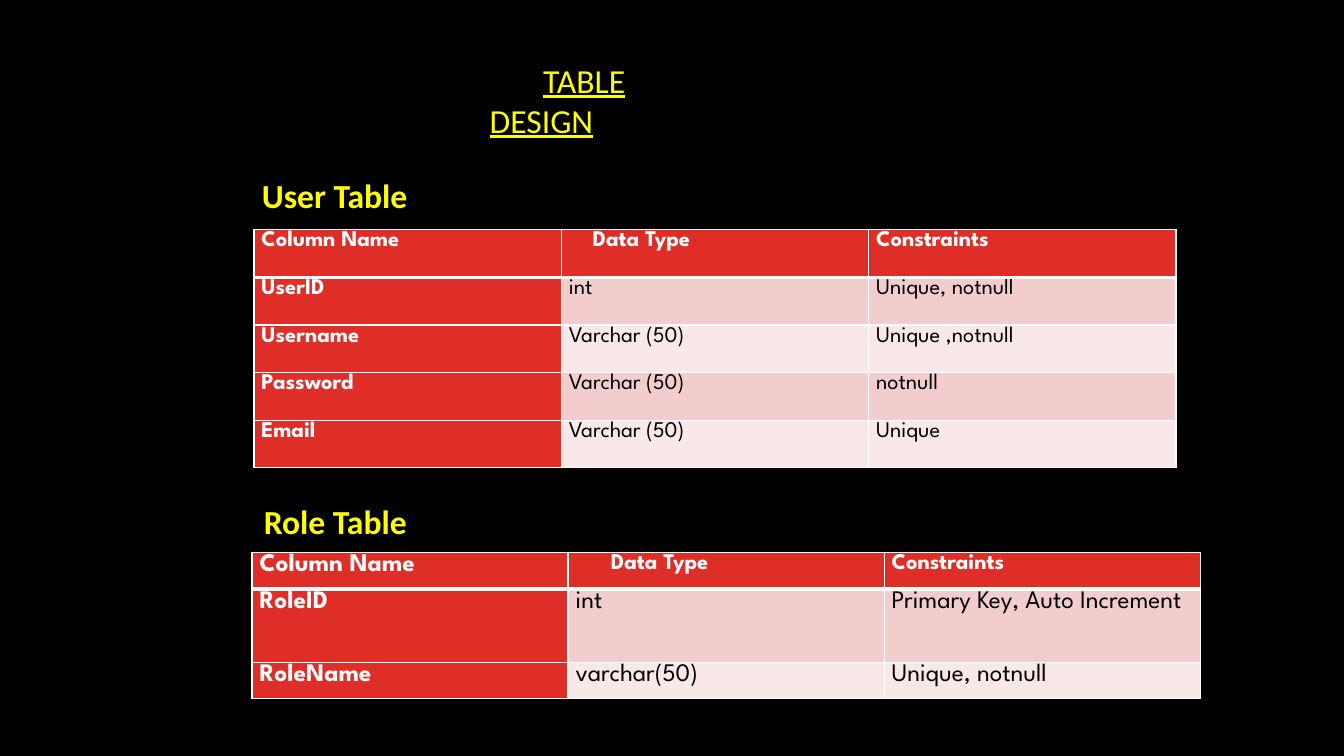
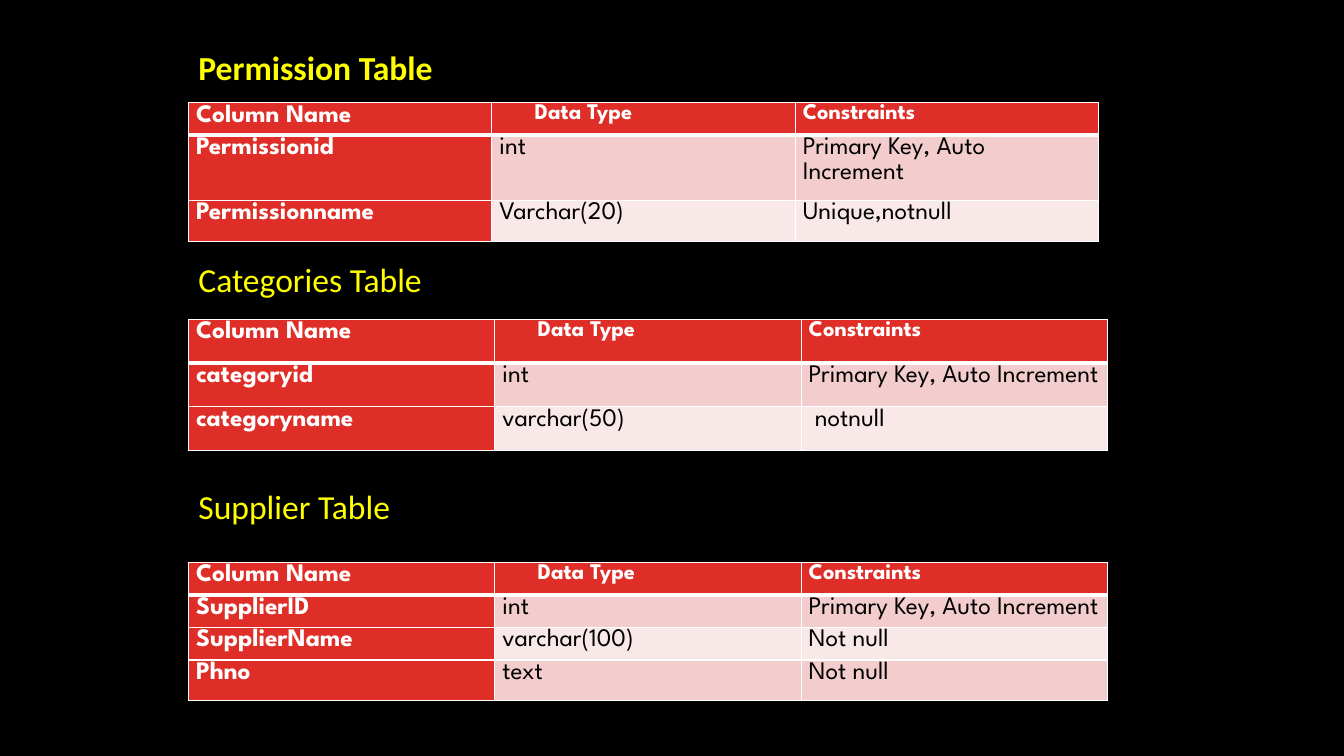
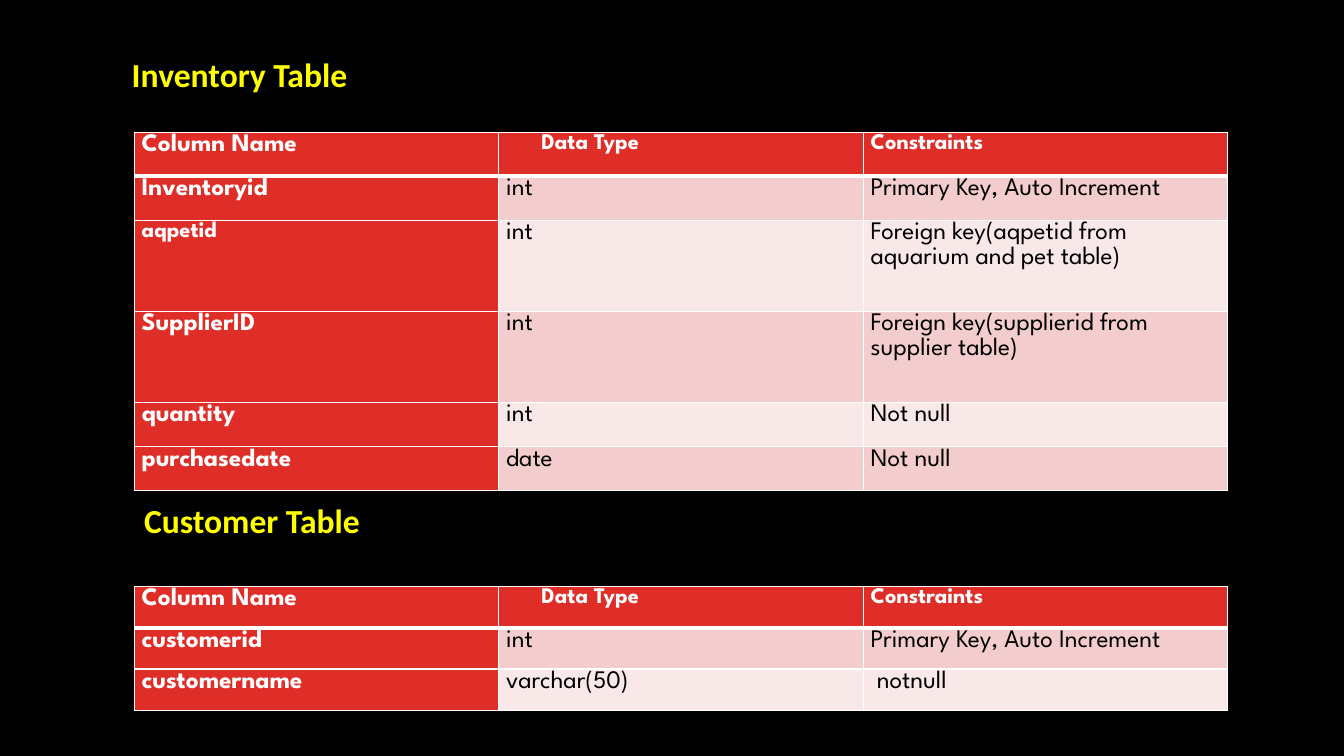
"""Build three slides that describe the tables of a shop database."""
from lxml import etree
from pptx import Presentation, util as u
from pptx.dml.color import RGBColor
from pptx.enum import text as t
from pptx.oxml.ns import qn

BLACK, WHITE, YELLOW, RED = "000000", "FFFFFF", "FFFF00", "DF2E28"
BANDS = ("F3CDCD", "F9E8E8")
HEADER = ("Column Name", "Data Type", "Constraints")
KEY = "Primary Key, Auto Increment"
HEADING_FONT, TABLE_FONT = "Calibri", "League Spartan"
CELL_INSET = 0.19

SLIDES = [
    {
        "headings": [
            {"text": "TABLE DESIGN", "at": (12.09, 0.81, 5.89, 3.07),
             "bold": False, "underline": True, "indent": 1.35, "inset_top": 0.69},
            {"text": "User Table", "at": (6.35, 4.27, 4.22, 2.06)},
            {"text": "Role Table", "at": (6.4, 12.5, 4.14, 2.31)},
        ],
        "tables": [
            {"at": (6.4, 5.79, 23.24), "heights": [1.2] * 5, "size": 16, "type_indent": 0.6,
             "rows": [("UserID", "int", "Unique, notnull"),
                      ("Username", "Varchar (50)", "Unique ,notnull"),
                      ("Password", "Varchar (50)", "notnull"),
                      ("Email", "Varchar (50)", "Unique")]},
            {"at": (6.35, 13.92, 23.9), "heights": [0.92, 1.85, 0.92],
             "rows": [("RoleID", "int", KEY),
                      ("RoleName", "varchar(50)", "Unique, notnull")]},
        ],
    },
    {
        "headings": [
            {"text": "Permission Table", "at": (4.75, 1.04, 6.96, 1.27)},
            {"text": "Categories Table", "at": (4.75, 6.4, 6.2, 2.06), "bold": False},
            {"text": "Supplier Table", "at": (4.75, 12.12, 5.41, 2.06), "bold": False},
        ],
        "tables": [
            {"at": (4.75, 2.59, 22.94), "heights": [0.82, 1.64, 1.04],
             "rows": [("Permissionid", "int", KEY),
                      ("Permissionname", "Varchar(20)", "Unique,notnull")]},
            {"at": (4.75, 8.05, 23.16), "heights": [1.1] * 3,
             "rows": [("categoryid", "int", KEY),
                      ("categoryname", "varchar(50)", " notnull")]},
            {"at": (4.75, 14.17, 23.16), "heights": [0.82, 0.82, 0.82, 1.02],
             "rows": [("SupplierID", "int", KEY),
                      ("SupplierName", "varchar(100)", "Not null"),
                      ("Phno", "text", "Not null")]},
        ],
    },
    {
        "headings": [
            {"text": "Inventory Table", "at": (3.07, 1.22, 5.99, 1.27)},
            {"text": "Customer Table", "at": (3.38, 12.47, 6.76, 1.27)},
        ],
        "tables": [
            {"at": (3.38, 3.33, 27.56), "heights": [1.11, 1.11, 2.3, 2.3, 1.11, 1.11],
             "small": ("aqpetid",),
             "rows": [("Inventoryid", "int", KEY),
                      ("aqpetid", "int", "Foreign key(aqpetid from aquarium and pet table)"),
                      ("SupplierID", "int", "Foreign key(supplierid from supplier table)"),
                      ("quantity", "int", "Not null"),
                      ("purchasedate", "date", "Not null")]},
            {"at": (3.38, 14.78, 27.56), "heights": [1.04] * 3,
             "rows": [("customerid", "int", KEY),
                      ("customername", "varchar(50)", " notnull")]},
        ],
    },
]


def colour(value):
    return RGBColor.from_string(value)


def write(frame, content, font=TABLE_FONT, size=18, ink=BLACK, bold=False,
          underline=False, spacing=1.0):
    para = frame.paragraphs[0]
    para.alignment = t.PP_ALIGN.LEFT
    para.line_spacing = spacing
    span = para.add_run()
    span.text = content
    span.font.name, span.font.size = font, u.Pt(size)
    span.font.bold, span.font.underline = bold, underline
    span.font.color.rgb = colour(ink)
    return para


def add_heading(page, box, text, at, bold=True, underline=False, indent=0, inset_top=0.13):
    box.left, box.top, box.width, box.height = map(u.Cm, at)
    frame = box.text_frame
    frame.word_wrap = True
    frame.auto_size = t.MSO_AUTO_SIZE.NONE
    frame.vertical_anchor = t.MSO_ANCHOR.TOP
    frame.margin_left, frame.margin_right = u.Cm(0.25), 0
    frame.margin_top, frame.margin_bottom = u.Cm(inset_top), u.Cm(0.13)
    para = write(frame, text, HEADING_FONT, 24, YELLOW, bold, underline)
    if indent:
        para._p.get_or_add_pPr().set("indent", str(u.Cm(indent)))


def add_borders(cell, top, bottom):
    properties = cell._tc.get_or_add_tcPr()
    for side, width in (("L", 1), ("R", 1), ("T", top), ("B", bottom)):
        line = etree.SubElement(properties, qn(f"a:ln{side}"), w=str(u.Pt(width)))
        fill = etree.SubElement(line, qn("a:solidFill"))
        etree.SubElement(fill, qn("a:srgbClr"), val=WHITE)


def add_grid(page, at, heights, rows, size=18, type_indent=0.89, small=()):
    left, top, width = at
    frame = page.shapes.add_table(len(heights), len(HEADER), u.Cm(left), u.Cm(top),
                                  u.Cm(width), u.Cm(sum(heights)))
    grid = frame.table
    grid.first_col = True
    for column in grid.columns:
        column.width = u.Cm(width / len(HEADER))
    for r, (height, words) in enumerate(zip(heights, [HEADER, *rows])):
        grid.rows[r].height = u.Cm(height)
        for c, word in enumerate(words):
            cell = grid.cell(r, c)
            strong = r == 0 or c == 0
            shift = type_indent if (r, c) == (0, 1) else 0
            cell.margin_left, cell.margin_right = u.Cm(CELL_INSET + shift), u.Cm(CELL_INSET)
            cell.margin_top = cell.margin_bottom = 0
            add_borders(cell, 3 if r == 1 else 1, 3 if r == 0 else 1)
            cell.fill.solid()
            cell.fill.fore_color.rgb = colour(RED if strong else BANDS[(r - 1) % 2])
            reduced = (r == 0 and c > 0) or word in small
            write(cell.text_frame, word, size=16 if reduced else size,
                  ink=WHITE if strong else BLACK, bold=strong, spacing=1.07)


def main():
    deck = Presentation()
    deck.slide_width, deck.slide_height = u.Cm(33.87), u.Cm(19.05)
    backdrop = deck.slide_master.background.fill
    backdrop.solid()
    backdrop.fore_color.rgb = colour(BLACK)
    title_only = deck.slide_layouts.get_by_name("Title Only")
    for content in SLIDES:
        page = deck.slides.add_slide(title_only)
        for i, heading in enumerate(content["headings"]):
            box = page.shapes.add_textbox(0, 0, 0, 0) if i else page.shapes.title
            add_heading(page, box, **heading)
        for table in content["tables"]:
            add_grid(page, **table)
    deck.save("out.pptx")


if __name__ == "__main__":
    main()
